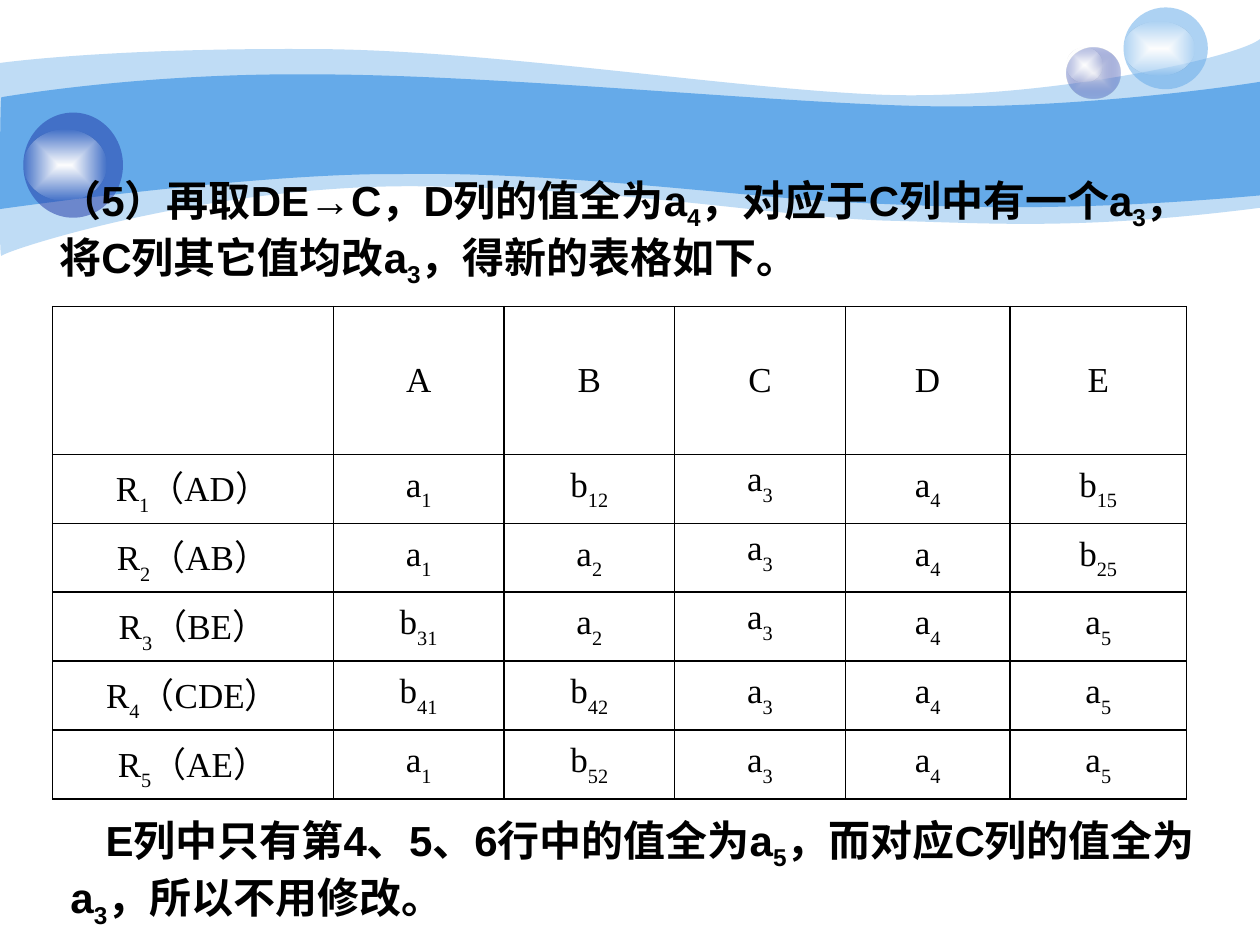
from typing import NamedTuple

from lxml import etree
from pptx import Presentation
from pptx import oxml
from pptx import util as u
from pptx.dml.color import RGBColor
from pptx.enum import shapes, text
from pptx.oxml import ns

SKY, NAVY, WHITE, BLACK = "65AAE9", "233DA9", "FFFFFF", "000000"


class Stop(NamedTuple):
    color: str
    opacity: int = 100


class Box(NamedTuple):
    """A frame in centimetres."""
    left: float
    top: float
    width: float
    height: float

    def emu(self) -> list:
        return [u.Cm(value) for value in self]


class Wave(NamedTuple):
    """An outline in centimetres: 1 point is a line, 3 a Bézier curve."""
    fill: Stop
    start: tuple
    segments: list


class Bubble(NamedTuple):
    box: Box
    fill: tuple  # one stop for a plain colour, two from centre to edge


class Note(NamedTuple):
    box: Box
    words: str  # subscripts stand in braces
    indent: float = 0


GLOSS = (Stop(WHITE), Stop(WHITE, 0))

WAVES = [
    Wave(Stop(SKY, 41), (0, 1.27), [
        [(0.61, 1.19), (2.72, 0.97), (6.27, 0.99)],
        [(9.8, 0.99), (14.61, 1.78), (17.75, 1.91)],
        [(20.88, 2.03), (24.89, 1.19), (25.4, 0.79)],
        [(25.4, 4.19)],
        [(21.79, 4.65), (19.99, 4.5), (17.91, 4.45)],
        [(15.8, 4.39), (13.08, 3.84), (8.71, 3.76)],
        [(4.37, 3.66), (0.1, 5.05), (0.03, 5.16)],
        [(-0.03, 5.28), (0, 1.91), (0, 1.27)]]),
    Wave(Stop(SKY), (0.03, 1.96), [
        [(0.05, 1.96), (2.79, 1.47), (6.3, 1.5)],
        [(9.8, 1.5), (15.11, 2.03), (18.24, 2.13)],
        [(21.36, 2.24), (24.79, 1.75), (25.4, 1.65)],
        [(25.4, 3.94)],
        [(21.67, 4.27), (19.43, 4.19), (17.32, 4.09)],
        [(15.21, 4.01), (11.35, 3.45), (8.05, 3.51)],
        [(5.16, 3.48), (-0.05, 4.22), (-0.03, 4.22)],
        [(0, 4.22), (0, 1.96), (0.03, 1.96)]]),
]

BUBBLES = [
    Bubble(Box(21.51, 0.97, 1.07, 1.02), (Stop("E1E2ED"), Stop(NAVY, 31))),
    Bubble(Box(21.51, 0.97, 0.71, 0.69), GLOSS),
    Bubble(Box(22.65, 0.15, 1.7, 1.65), (Stop(SKY, 53),)),
    Bubble(Box(22.65, 0.43, 1.42, 1.09), GLOSS),
    Bubble(Box(0.47, 2.27, 2.01, 2.12), (Stop(NAVY, 53),)),
    Bubble(Box(0.47, 2.62, 1.67, 1.42), GLOSS),
]

STEP = Note(Box(0.95, 3.51, 23.29, 2.31),
            "（5）再取DE→C，D列的值全为a{4}，对应于C列中有一个a{3}，"
            "将C列其它值均改a{3}，得新的表格如下。")
REMARK = Note(Box(1.17, 16.42, 23.93, 2.31),
              "E列中只有第4、5、6行中的值全为a{5}，而对应C列的值全为a{3}，"
              "所以不用修改。", indent=0.71)

COLUMN_WIDTHS = [5.66, 3.44, 3.44, 3.44, 3.32, 3.56]
ROW_HEIGHTS = [2.98] + [1.39] * 5
TABLEAU = [
    ["", "A", "B", "C", "D", "E"],
    ["R{1}（AD）", "a{1}", "b{12}", "a{3}", "a{4}", "b{15}"],
    ["R{2}（AB）", "a{1}", "a{2}", "a{3}", "a{4}", "b{25}"],
    ["R{3}（BE）", "b{31}", "a{2}", "a{3}", "a{4}", "a{5}"],
    ["R{4}（CDE）", "b{41}", "b{42}", "a{3}", "a{4}", "a{5}"],
    ["R{5}（AE）", "a{1}", "b{52}", "a{3}", "a{4}", "a{5}"],
]
CHANGED_CELLS = {(1, 3), (2, 3), (3, 3)}  # these sit at the top of their cell


def rgb(color: str) -> RGBColor:
    return RGBColor.from_string(color)


def color_xml(stop: Stop) -> str:
    return (f'<a:srgbClr val="{stop.color}">'
            f'<a:alpha val="{stop.opacity * 1000}"/></a:srgbClr>')


def paint(shape, *stops: Stop) -> None:
    """Fill with one colour, or with a gradient from centre to edge."""
    shape.shadow.inherit = False
    shape.line.fill.background()
    shape.fill.background()
    if len(stops) == 1:
        kind, body = "solidFill", color_xml(stops[0])
    else:
        centre, edge = map(color_xml, stops)
        kind = "gradFill"
        body = (f'<a:gsLst><a:gs pos="0">{centre}</a:gs>'
                f'<a:gs pos="100000">{edge}</a:gs></a:gsLst>'
                '<a:path path="shape"><a:fillToRect l="50000" t="50000" '
                'r="50000" b="50000"/></a:path>')
    fill = oxml.parse_xml(f'<a:{kind} {ns.nsdecls("a")}>{body}</a:{kind}>')
    properties = shape._element.spPr
    properties.replace(properties.find(ns.qn("a:noFill")), fill)


def draw_wave(slide, wave: Wave) -> None:
    """Lay all points as lines, then join each three into a curve."""
    builder = slide.shapes.build_freeform(*map(u.Cm, wave.start))
    builder.add_line_segments(
        [(u.Cm(x), u.Cm(y)) for segment in wave.segments for x, y in segment],
        close=True)
    outline = builder.convert_to_shape()
    lines = iter(list(outline._element.iter(ns.qn("a:lnTo"))))
    for segment in wave.segments:
        group = [next(lines) for _ in segment]
        if len(group) == 3:
            curve = etree.Element(ns.qn("a:cubicBezTo"))
            group[0].addprevious(curve)
            for line in group:
                curve.append(line[0])
                line.getparent().remove(line)
    paint(outline, wave.fill)


def draw_bubble(slide, bubble: Bubble) -> None:
    oval = slide.shapes.add_shape(shapes.MSO_SHAPE.OVAL, *bubble.box.emu())
    paint(oval, *bubble.fill)


def write(paragraph, words: str, font: str, size: int, drop: int,
          bold: bool = False) -> None:
    """Write words, lowering what stands in braces by drop percent."""
    paragraph.font.name = font
    paragraph.font.size = u.Pt(size)
    paragraph.font.bold = bold
    paragraph.font.color.rgb = rgb(BLACK)
    for index, part in enumerate(words.replace("}", "{").split("{")):
        if part:
            run = paragraph.add_run()
            run.text = part
            if index % 2:
                run._r.get_or_add_rPr().set("baseline", str(-drop * 1000))


def draw_note(slide, note: Note) -> None:
    frame = slide.shapes.add_textbox(*note.box.emu()).text_frame
    frame.word_wrap = True
    frame.auto_size = text.MSO_AUTO_SIZE.SHAPE_TO_FIT_TEXT
    frame.vertical_anchor = text.MSO_ANCHOR.MIDDLE
    paragraph = frame.paragraphs[0]
    write(paragraph, note.words, "Arial", 24, 25, bold=True)
    if note.indent:
        paragraph._p.get_or_add_pPr().set("indent", str(u.Cm(note.indent)))


def outline_cell(cell) -> None:
    properties = cell._tc.get_or_add_tcPr()
    for side in ("lnL", "lnR", "lnT", "lnB"):
        line = etree.SubElement(properties, ns.qn(f"a:{side}"), w=str(u.Pt(1)))
        fill = etree.SubElement(line, ns.qn("a:solidFill"))
        etree.SubElement(fill, ns.qn("a:srgbClr"), val=BLACK)
    cell.fill.background()


def draw_tableau(slide) -> None:
    box = Box(1.06, 6.18, sum(COLUMN_WIDTHS), sum(ROW_HEIGHTS))
    table = slide.shapes.add_table(
        len(ROW_HEIGHTS), len(COLUMN_WIDTHS), *box.emu()).table
    table.first_row = table.horz_banding = False
    for column, width in zip(table.columns, COLUMN_WIDTHS):
        column.width = u.Cm(width)
    for r, (height, row) in enumerate(zip(ROW_HEIGHTS, TABLEAU)):
        table.rows[r].height = u.Cm(height)
        for c, words in enumerate(row):
            cell = table.cell(r, c)
            outline_cell(cell)
            cell.vertical_anchor = (text.MSO_ANCHOR.TOP if (r, c) in CHANGED_CELLS
                                    else text.MSO_ANCHOR.MIDDLE)
            paragraph = cell.text_frame.paragraphs[0]
            paragraph.alignment = text.PP_ALIGN.CENTER
            write(paragraph, words, "Times New Roman", 20, 30)


def main() -> None:
    deck = Presentation()
    deck.slide_width, deck.slide_height = u.Cm(25.4), u.Cm(19.05)
    slide = deck.slides.add_slide(deck.slide_layouts[6])
    # Header decoration
    for wave in WAVES:
        draw_wave(slide, wave)
    for bubble in BUBBLES:
        draw_bubble(slide, bubble)
    # Step, resulting tableau, remark
    draw_note(slide, STEP)
    draw_tableau(slide)
    draw_note(slide, REMARK)
    deck.save("out.pptx")


if __name__ == "__main__":
    main()
